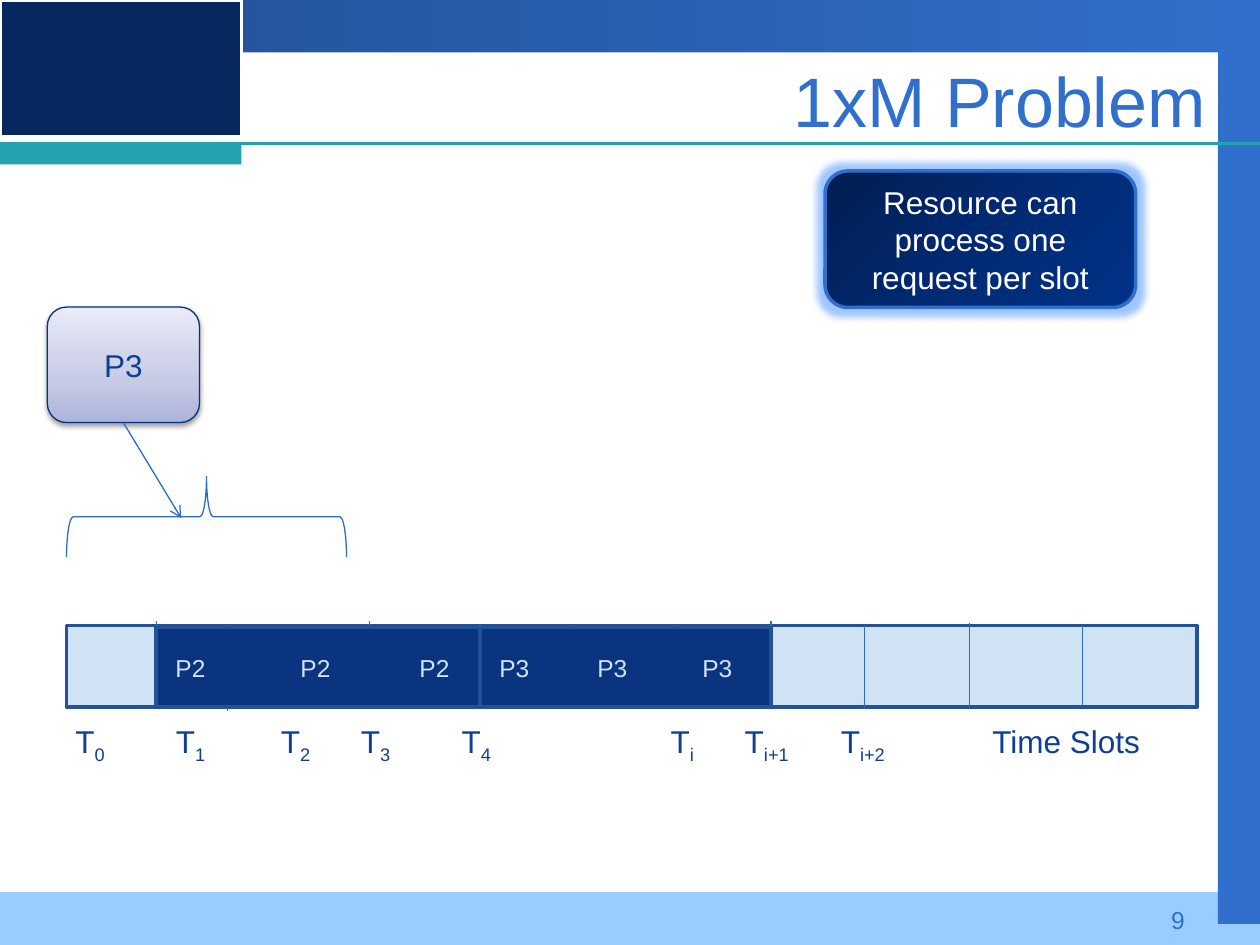
from pptx import Presentation
from pptx.dml.color import RGBColor
from pptx.enum.shapes import MSO_CONNECTOR, MSO_SHAPE
from pptx.enum.text import MSO_ANCHOR, PP_ALIGN
from pptx.oxml import parse_xml
from pptx.oxml.ns import nsdecls
from pptx.util import Pt

RECT = MSO_SHAPE.RECTANGLE
ROUND = MSO_SHAPE.ROUNDED_RECTANGLE
BRACE = MSO_SHAPE.LEFT_BRACE
LINE = MSO_CONNECTOR.STRAIGHT
TOP, MID = MSO_ANCHOR.TOP, MSO_ANCHOR.MIDDLE
LEFT, MIDDLE, RIGHT = PP_ALIGN.LEFT, PP_ALIGN.CENTER, PP_ALIGN.RIGHT

FONT = "Arial"
HEX = {
    "white": "FFFFFF", "blue": "306FCC", "sky": "99CCFF", "teal": "25A2AF",
    "navy": "07275F", "text": "0E3F96", "thin": "2B6CCB", "edge": "245297",
    "pale": "D0E3F5", "busy": "0A347F", "rim": "07327F",
}
HEAD = [(0, "224F92"), (100, "306FCC")]
LILAC = [(0, "ADB3DC"), (35, "C6CAE5"), (100, "E9EBF6")]
DEEP = [(0, "011D50"), (50, "012A72"), (100, "013288")]
GLOW = '<a:glow rad="101600"><a:srgbClr val="80B3FF"><a:alpha val="75000"/></a:srgbClr></a:glow>'
SHADE = ('<a:outerShdw blurRad="39370" dist="20320" dir="5400000" rotWithShape="0">'
         '<a:srgbClr val="000000"><a:alpha val="38000"/></a:srgbClr></a:outerShdw>')


def node(tag, inner="", attrs=""):
    return parse_xml(f"<a:{tag} {nsdecls('a')} {attrs}>{inner}</a:{tag}>")


class Deck:
    def __init__(self, slide):
        self.slide = slide

    def color(self, name):
        return RGBColor.from_string(HEX[name])

    def style(self, para, size, color, align=LEFT, tabs=()):
        para.alignment = align
        if tabs:
            stops = "".join(f'<a:tab pos="{Pt(x)}" algn="l"/>' for x in tabs)
            para._p.get_or_add_pPr().append(node("tabLst", stops))
        for run in para.runs:
            run.font.name = FONT
            run.font.size = Pt(size)
            run.font.color.rgb = self.color(color)

    def shape(self, kind, x, y, w, h, fill=None, line=None, width=2, effect=""):
        item = self.slide.shapes.add_shape(kind, Pt(x), Pt(y), Pt(w), Pt(h))
        item.shadow.inherit = False
        if fill:
            item.fill.solid()
            item.fill.fore_color.rgb = self.color(fill)
        else:
            item.fill.background()
        if line:
            item.line.color.rgb = self.color(line)
            item.line.width = Pt(width)
        else:
            item.line.fill.background()
        if effect:
            old = item._element.spPr.find(node("effectLst").tag)
            old.append(parse_xml(effect.replace(" ", f" {nsdecls('a')} ", 1)))
        return item

    def blend(self, item, stops, angle):
        item.fill.gradient()
        item.fill.gradient_angle = angle
        marks = "".join(f'<a:gs pos="{pos * 1000}"><a:srgbClr val="{tone}"/></a:gs>'
                        for pos, tone in stops)
        fresh = node("gsLst", marks)
        old = next(item._element.spPr.iter(fresh.tag))
        old.getparent().replace(old, fresh)

    def label(self, item, text, size, color, align=MIDDLE, tabs=(), inset=7.2):
        frame = item.text_frame
        frame.word_wrap = True
        frame.vertical_anchor = MID
        frame.margin_left = Pt(inset)
        frame.text = text
        self.style(frame.paragraphs[0], size, color, align, tabs)

    def text(self, x, y, w, h, text, size, color, align=LEFT, anchor=TOP):
        box = self.slide.shapes.add_textbox(Pt(x), Pt(y), Pt(w), Pt(h))
        frame = box.text_frame
        frame.word_wrap = True
        frame.vertical_anchor = anchor
        frame.text = text
        self.style(frame.paragraphs[0], size, color, align)
        return frame.paragraphs[0]

    def ticks(self, x, y, w, h, names, tabs):
        para = self.text(x, y, w, h, "", 18, "text")
        for i, name in enumerate(names):
            para.add_run().text = "\tT" if i else "T"
            sub = para.add_run()
            sub.text = name
            sub._r.get_or_add_rPr().set("baseline", "-25000")
        self.style(para, 18, "text", tabs=tabs)

    def line(self, x1, y1, x2, y2, color="thin", width=0.75, arrow=False):
        item = self.slide.shapes.add_connector(LINE, Pt(x1), Pt(y1), Pt(x2), Pt(y2))
        item.line.color.rgb = self.color(color)
        item.line.width = Pt(width)
        if arrow:
            item.line._get_or_add_ln().append(node("tailEnd", attrs='type="arrow"'))
        item._element.spPr.append(node("effectLst"))


def main():
    prs = Presentation()
    prs.slide_width, prs.slide_height = Pt(720), Pt(540)
    deck = Deck(prs.slides.add_slide(prs.slide_layouts[6]))

    # Frame of the page
    head = deck.shape(RECT, 0, 0, 720, 78, "blue")
    deck.blend(head, HEAD, 0)
    deck.shape(RECT, 0, 509.8, 720, 30.2, "sky")
    deck.shape(RECT, 696, 18, 24, 510, "blue")
    deck.shape(RECT, 138, 30, 558, 54, "white")
    deck.line(0, 82, 720, 82, "teal", 2.25)
    deck.shape(RECT, 0, 82, 138, 12, "teal")
    deck.text(96, 18, 600, 78, "1xM Problem", 40, "blue", RIGHT, MID)
    deck.shape(RECT, 0, 0, 138, 78, "navy", "white")

    # Request and the slots it may use
    brace = deck.shape(BRACE, 95, 215.3, 46, 160, line="thin", width=0.75)
    brace.rotation = 90
    job = deck.shape(ROUND, 27, 175.5, 87, 66, "pale", "rim", 0.75, SHADE)
    deck.blend(job, LILAC, 90)
    deck.label(job, "P3", 18, "text")
    deck.line(70.8, 242, 103.5, 296, arrow=True)

    # Time line with slot borders
    deck.text(560, 409, 144, 29, "Time Slots", 18, "text")
    deck.ticks(36, 409, 648, 29, ["0", "1", "2", "3", "4", "i", "i+1", "i+2"],
               [57.4, 117.4, 163.1, 220.8, 340.2, 382.5, 437.4])
    deck.shape(RECT, 38, 357.3, 646, 46.8, "pale", "edge")
    for x, top, end in [(89.3, 355, 404), (130.2, 357, 406.5), (211, 355, 404),
                        (274.3, 357, 404), (327.6, 357, 403), (386.6, 357, 403),
                        (440.6, 355, 404), (494.2, 357, 405), (554, 356, 405),
                        (618.5, 357, 403)]:
        deck.line(x, top, x, end)

    # Slots taken by each request
    for x, w, name, tabs in [(89.3, 185, "P2", [71.4, 139.4]),
                             (274.3, 166.3, "P3", [56, 116])]:
        busy = deck.shape(RECT, x, 358.6, w, 45.4, "busy", "edge")
        deck.label(busy, "\t".join([name] * 3), 14, "pale", LEFT, tabs, 11)

    # Page number and note
    deck.text(516, 513.4, 168, 19.4, "9", 14, "blue", RIGHT)
    note = deck.shape(ROUND, 471.5, 97.7, 177.5, 78, "navy", "blue", effect=GLOW)
    deck.blend(note, DEEP, 315)
    deck.label(note, "Resource can process one request per slot", 18, "white")

    prs.save("out.pptx")


if __name__ == "__main__":
    main()
